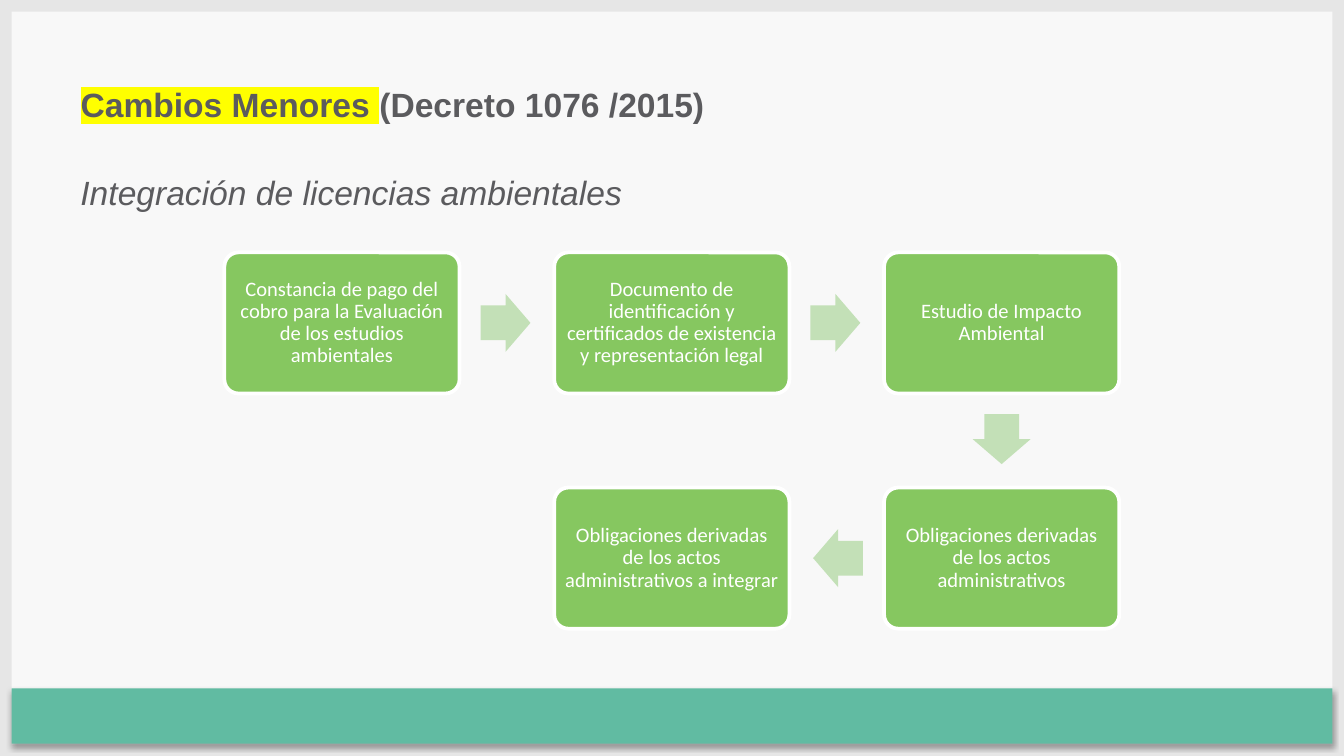
from itertools import pairwise

from lxml import etree
from pptx import Presentation
from pptx.dml.color import RGBColor
from pptx.enum.shapes import MSO_SHAPE
from pptx.enum.text import MSO_ANCHOR, MSO_AUTO_SIZE, PP_ALIGN
from pptx.oxml.ns import qn
from pptx.util import Pt

RECTANGLE = MSO_SHAPE.RECTANGLE
ROUNDED = MSO_SHAPE.ROUNDED_RECTANGLE
ARROW = MSO_SHAPE.RIGHT_ARROW
TOP, MIDDLE = MSO_ANCHOR.TOP, MSO_ANCHOR.MIDDLE
LEFT, CENTER, JUSTIFY = PP_ALIGN.LEFT, PP_ALIGN.CENTER, PP_ALIGN.JUSTIFY
NO_AUTOFIT = MSO_AUTO_SIZE.NONE

WIDTH, HEIGHT, BORDER = 720, 405, 6.2
BOX_WIDTH, BOX_HEIGHT = 126, 75.6
GRID_LEFT, GRID_TOP = 120.2, 135.2
COLUMN_STEP, ROW_STEP = 176.7, 126
ARROW_LENGTH, ARROW_BREADTH, ARROW_SETBACK = 26.7, 31, 0.7

STEPS = [
    (0, 0, "Constancia de pago del cobro para la Evaluación de los estudios ambientales"),
    (1, 0, "Documento de identificación y certificados de existencia y representación legal"),
    (2, 0, "Estudio de Impacto Ambiental"),
    (2, 1, "Obligaciones derivadas de los actos administrativos"),
    (1, 1, "Obligaciones derivadas de los actos administrativos a integrar"),
]
ROTATIONS = {(1, 0): 0, (0, 1): 90, (-1, 0): 180}


def color(value):
    return RGBColor.from_string(value)


class SlideBuilder:
    heading_font, body_font = "Arial", "Calibri"
    ink, white, marker = "5B5B5E", "FFFFFF", "FFFF00"
    frame, band, step, arrow_fill = "E6E6E6", "61BBA2", "86C760", "C3E0B7"

    def __init__(self, slide):
        self.slide = slide
        slide.background.fill.solid()
        slide.background.fill.fore_color.rgb = color("F8F8F8")

    def add_run(self, paragraph, text, font, size, fill, bold=False, italic=False):
        run = paragraph.add_run()
        run.text = text
        run.font.size = Pt(size)
        run.font.bold = bold
        run.font.italic = italic
        run.font.color.rgb = color(fill)
        run.font.name = font
        return run

    def highlight(self, run):
        element = etree.Element(qn("a:highlight"))
        etree.SubElement(element, qn("a:srgbClr"), val=self.marker)
        run.font.fill._xPr.find(qn("a:solidFill")).addnext(element)

    def add_shape(self, kind, left, top, width, height, fill):
        shape = self.slide.shapes.add_shape(kind, Pt(left), Pt(top), Pt(width), Pt(height))
        shape.shadow.inherit = False
        shape.fill.solid()
        shape.fill.fore_color.rgb = color(fill)
        shape.line.fill.background()
        return shape

    def add_frame(self):
        for left, top, width, height in (
            (0, 0, WIDTH, BORDER),
            (0, HEIGHT - BORDER, WIDTH, BORDER),
            (0, 0, BORDER, HEIGHT),
            (WIDTH - BORDER, 0, BORDER, HEIGHT),
        ):
            self.add_shape(RECTANGLE, left, top, width, height, self.frame)

    def add_band(self):
        shape = self.add_shape(RECTANGLE, BORDER, 368.8, WIDTH - 2 * BORDER, 29.7, self.band)
        effects = shape._element.spPr.find(qn("a:effectLst"))
        shadow = etree.SubElement(
            effects, qn("a:outerShdw"), blurRad=str(Pt(3.1)), dist=str(Pt(1.8)),
            dir="5400000", algn="t", rotWithShape="0")
        shade = etree.SubElement(shadow, qn("a:srgbClr"), val="000000")
        etree.SubElement(shade, qn("a:alpha"), val="35000")

    def format_line(self, shape, alignment):
        frame = shape.text_frame
        frame.word_wrap = False
        frame.auto_size = NO_AUTOFIT
        frame.vertical_anchor = TOP
        paragraph = frame.paragraphs[0]
        paragraph.alignment = alignment
        return paragraph

    def add_title(self, marked, plain):
        title = self.slide.shapes.title
        title.left, title.top, title.width, title.height = Pt(36), Pt(39.6), Pt(352), Pt(29.5)
        paragraph = self.format_line(title, JUSTIFY)
        paragraph.line_spacing = 1.07
        paragraph.space_after = Pt(8)
        self.highlight(self.add_run(paragraph, marked, self.heading_font, 18, self.ink, bold=True))
        self.add_run(paragraph, plain, self.heading_font, 18, self.ink, bold=True)

    def add_subtitle(self, text):
        box = self.slide.shapes.add_textbox(Pt(36), Pt(88.6), Pt(312), Pt(29))
        paragraph = self.format_line(box, LEFT)
        self.add_run(paragraph, text, self.heading_font, 18, self.ink, italic=True)

    def add_step(self, column, row, text):
        shape = self.add_shape(
            ROUNDED, GRID_LEFT + column * COLUMN_STEP, GRID_TOP + row * ROW_STEP,
            BOX_WIDTH, BOX_HEIGHT, self.step)
        shape.adjustments[0] = 0.1
        shape.line.color.rgb = color(self.white)
        shape.line.width = Pt(2)
        frame = shape.text_frame
        frame.word_wrap = True
        frame.vertical_anchor = MIDDLE
        frame.margin_left = frame.margin_right = Pt(3.6)
        frame.margin_top = frame.margin_bottom = Pt(3.6)
        paragraph = frame.paragraphs[0]
        paragraph.alignment = CENTER
        paragraph.line_spacing = 0.9
        self.add_run(paragraph, text, self.body_font, 11, self.white)

    def add_arrow(self, start, end):
        across, down = end[0] - start[0], end[1] - start[1]
        center_x = GRID_LEFT + BOX_WIDTH / 2 + (start[0] + end[0]) / 2 * COLUMN_STEP
        center_y = GRID_TOP + BOX_HEIGHT / 2 + (start[1] + end[1]) / 2 * ROW_STEP
        shape = self.add_shape(
            ARROW, center_x - across * ARROW_SETBACK - ARROW_LENGTH / 2,
            center_y - down * ARROW_SETBACK - ARROW_BREADTH / 2,
            ARROW_LENGTH, ARROW_BREADTH, self.arrow_fill)
        shape.adjustments[0] = 0.6
        shape.adjustments[1] = 0.5
        shape.rotation = ROTATIONS[across, down]


def main():
    presentation = Presentation()
    presentation.slide_width, presentation.slide_height = Pt(WIDTH), Pt(HEIGHT)
    builder = SlideBuilder(presentation.slides.add_slide(presentation.slide_layouts[5]))
    builder.add_frame()
    builder.add_band()
    builder.add_title("Cambios Menores ", "(Decreto 1076 /2015)")
    builder.add_subtitle("Integración de licencias ambientales")
    for column, row, text in STEPS:
        builder.add_step(column, row, text)
    for start, end in pairwise(STEPS):
        builder.add_arrow(start, end)
    presentation.save("out.pptx")


if __name__ == "__main__":
    main()
